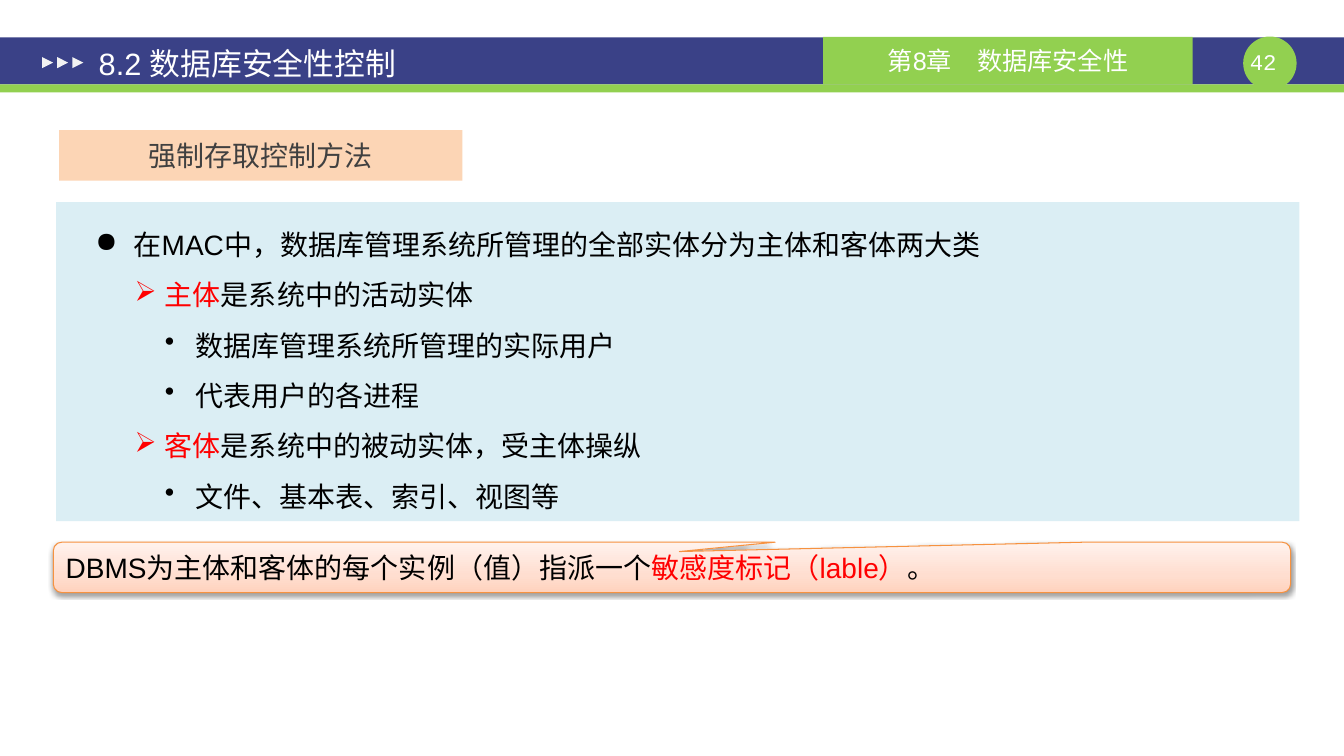
"""Build the slide on subjects and objects in mandatory access control."""
from lxml import etree
from pptx import Presentation
from pptx import util as u
from pptx.dml.color import RGBColor
from pptx.enum import shapes, text
from pptx.oxml import parse_xml
from pptx.oxml.ns import nsdecls, qn

NAVY = RGBColor(0x3A, 0x41, 0x87)
GREEN = RGBColor(0x92, 0xD0, 0x50)
WHITE = RGBColor(0xFF, 0xFF, 0xFF)
PALE = RGBColor(0xF2, 0xF2, 0xF2)
PEACH = RGBColor(0xFC, 0xD5, 0xB5)
ICE = RGBColor(0xDB, 0xEE, 0xF4)
ORANGE = RGBColor(0xF6, 0x92, 0x40)
GREY = RGBColor(0x40, 0x40, 0x40)
BLACK = RGBColor(0, 0, 0)
RED = RGBColor(0xFF, 0, 0)
KIND = shapes.MSO_SHAPE
ALIGN = text.PP_ALIGN

presentation = Presentation()
presentation.slide_width = u.Inches(13.34)
presentation.slide_height = u.Inches(7.5)
slide = presentation.slides.add_slide(presentation.slide_layouts[6])
column = presentation.slide_width / 160
row = presentation.slide_height / 90


def add_block(kind, left, top, width, height, fill=None):
    """Place a shape, or a text box if kind is None, on the 160 by 90 grid."""
    box = [round(n) for n in (left * column, top * row, width * column, height * row)]
    if kind is None:
        return slide.shapes.add_textbox(*box)
    shape = slide.shapes.add_shape(kind, *box)
    shape.shadow.inherit = False
    shape.line.fill.background()
    if fill is not None:
        shape.fill.solid()
        shape.fill.fore_color.rgb = fill
    return shape


def write(shape, lines, size, align, font="Arial"):
    """Fill a shape with lines, each a list of (wording, colour) runs."""
    frame = shape.text_frame
    frame.word_wrap = True
    frame.vertical_anchor = text.MSO_ANCHOR.MIDDLE
    for number, runs in enumerate(lines):
        paragraph = frame.add_paragraph() if number else frame.paragraphs[0]
        paragraph.alignment = align
        paragraph.font.size = u.Pt(size)
        paragraph.font.name = font
        paragraph.font.color.rgb = runs[-1][1]
        for wording, colour in runs:
            run = paragraph.add_run()
            run.text = wording
            if colour != runs[-1][1]:
                run.font.color.rgb = colour
    return frame


add_block(KIND.RECTANGLE, 0, 4.44, 160, 5.6, NAVY)
add_block(KIND.RECTANGLE, 0, 10.04, 160, 0.96, GREEN)
add_block(KIND.OVAL, 148, 4.35, 6.36, 6.36, GREEN)
page_number = add_block(None, 148, 5.76, 6.36, 3.24)
frame = write(page_number, [[("42 ", WHITE)]], 16, ALIGN.CENTER, "Courier New")
frame.margin_left = frame.margin_right = frame.margin_top = frame.margin_bottom = 0

chapter = add_block(KIND.RECTANGLE, 98, 4.4, 44, 5.64, GREEN)
write(chapter, [[("第8章　数据库安全性", WHITE)]], 18, ALIGN.CENTER)

for index in range(3):
    triangle = add_block(KIND.ISOSCELES_TRIANGLE, 5 + 1.8 * index, 6.8, 1.32, 1.32, PALE)
    triangle.rotation = 90

title = add_block(None, 10.2, 4.7, 70, 5.6)
frame = write(title, [[("8.2 数据库安全性控制", WHITE)]], 22, ALIGN.LEFT)
frame.margin_left = u.Inches(0.13)

heading = add_block(KIND.RECTANGLE, 7.04, 15.5, 48, 6, PEACH)
write(heading, [[("强制存取控制方法", GREY)]], 20, ALIGN.CENTER)

LEVELS = [("●", 0.67, 0.38), ("➢", 0.98, 0.3), ("•", 1.28, 0.3)]
OUTLINE = [
    (0, [("在MAC中，数据库管理系统所管理的全部实体分为主体和客体两大类", BLACK)]),
    (1, [("主体", RED), ("是系统中的活动实体", BLACK)]),
    (2, [("数据库管理系统所管理的实际用户", BLACK)]),
    (2, [("代表用户的各进程", BLACK)]),
    (1, [("客体", RED), ("是系统中的被动实体，受主体操纵", BLACK)]),
    (2, [("文件、基本表、索引、视图等", BLACK)]),
]
body = add_block(KIND.RECTANGLE, 6.7, 24.05, 148, 38, ICE)
frame = write(body, [runs for level, runs in OUTLINE], 20, ALIGN.JUSTIFY)
for paragraph, (level, runs) in zip(frame.paragraphs, OUTLINE):
    bullet, margin, hanging = LEVELS[level]
    paragraph.line_spacing = 1.5
    properties = paragraph._p.get_or_add_pPr()
    properties.set("marL", str(u.Inches(margin)))
    properties.set("indent", str(-u.Inches(hanging)))
    mark = etree.Element(qn("a:buChar"), char=bullet)
    properties.find(qn("a:defRPr")).addprevious(mark)

callout = add_block(KIND.ROUNDED_RECTANGULAR_CALLOUT, 6.35, 64.55, 147.3, 6)
for index, adjustment in enumerate((0.006, -0.314, 0.167)):
    callout.adjustments[index] = adjustment
callout.line.color.rgb = ORANGE
callout.line.width = u.Pt(0.75)
stops = "".join(
    f'<a:gs pos="{share * 1000}"><a:srgbClr val="{colour}"/></a:gs>'
    for share, colour in ((0, "FFD2BD"), (35, "FFDED0"), (100, "FFF2ED"))
)
outline = callout._element.spPr.find(qn("a:ln"))
outline.addprevious(parse_xml(
    f'<a:gradFill {nsdecls("a")} rotWithShape="1"><a:gsLst>{stops}</a:gsLst>'
    '<a:lin ang="16200000" scaled="0"/></a:gradFill>'
))
callout._element.spPr.find(qn("a:effectLst")).append(parse_xml(
    f'<a:outerShdw {nsdecls("a")} blurRad="{u.Pt(3.1)}" dist="{u.Pt(1.6)}" dir="5400000"'
    ' rotWithShape="0"><a:srgbClr val="000000"><a:alpha val="38000"/></a:srgbClr></a:outerShdw>'
))
write(callout, [[
    ("DBMS为主体和客体的每个实例（值）指派一个", BLACK),
    ("敏感度标记（lable）", RED),
    ("。", BLACK),
]], 20, ALIGN.JUSTIFY)

presentation.save("out.pptx")
